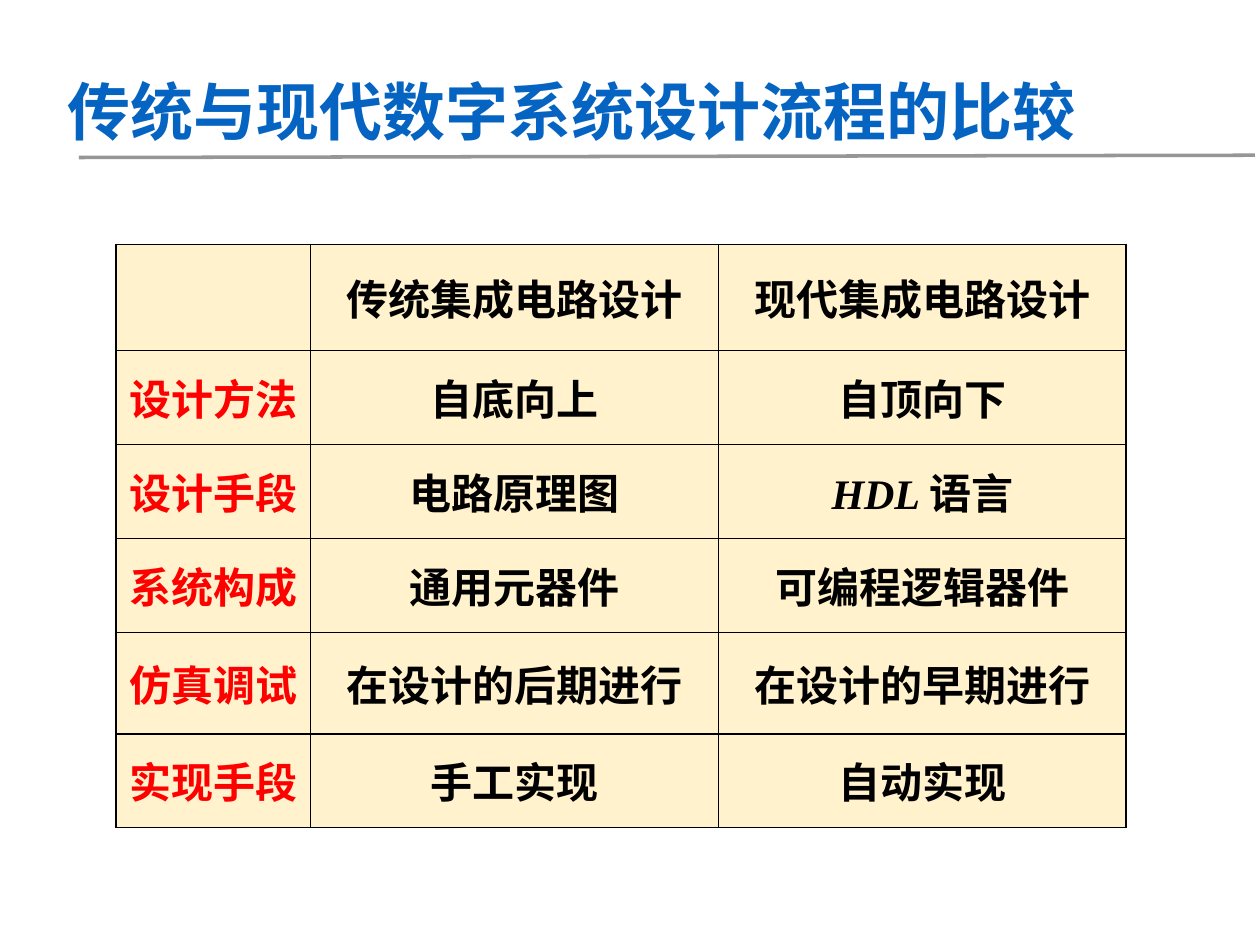
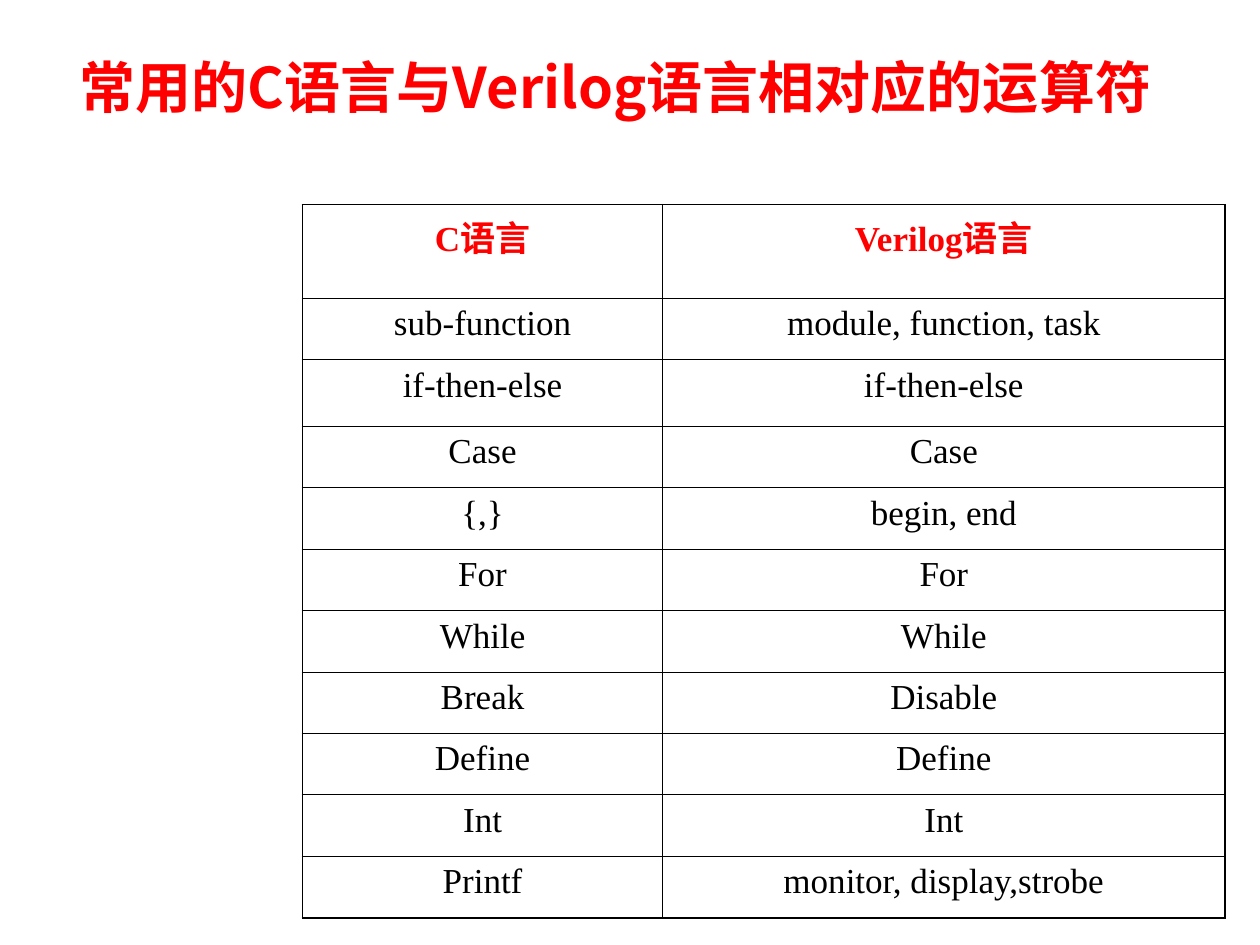
from lxml import etree
from pptx import Presentation
from pptx import util as u
from pptx.dml.color import RGBColor
from pptx.enum import shapes, text
from pptx.oxml import ns

COLORS = {"title": "0563C1", "accent": "FF0000", "body": "000000",
          "rule": "969696", "cream": "FFF2CC", "white": "FFFFFF"}
FONTS = {"cjk": "Noto Sans CJK SC", "latin": "Times New Roman"}
COLS, ROWS = 100, 75
THIN = 0.45

COMPARISON = [
    ["", "传统集成电路设计", "现代集成电路设计"],
    ["设计方法", "自底向上", "自顶向下"],
    ["设计手段", "电路原理图", [("HDL ", True), ("语言", False)]],
    ["系统构成", "通用元器件", "可编程逻辑器件"],
    ["仿真调试", "在设计的后期进行", "在设计的早期进行"],
    ["实现手段", "手工实现", "自动实现"],
]
OPERATORS = [
    ["C语言", "Verilog语言"],
    ["sub-function", "module, function, task"],
    ["if-then-else", "if-then-else"],
    ["Case", "Case"],
    ["{,}", "begin, end"],
    ["For", "For"],
    ["While", "While"],
    ["Break", "Disable"],
    ["Define", "Define"],
    ["Int", "Int"],
    ["Printf", "monitor, display,strobe"],
]


def rgb(name):
    return RGBColor.from_string(COLORS[name])


def set_all(obj, values):
    for key, value in values.items():
        setattr(obj, key, value)


class Deck:
    def __init__(self):
        self.prs = Presentation()
        set_all(self.prs, {"slide_width": u.Inches(10), "slide_height": u.Inches(7.5)})
        self.s = None

    def x(self, cols):
        return round(self.prs.slide_width * cols / COLS)

    def y(self, rows):
        return round(self.prs.slide_height * rows / ROWS)

    def new_slide(self):
        self.s = self.prs.slides.add_slide(self.prs.slide_layouts[5])

    def run(self, p, words, color, font, **style):
        r = p.add_run()
        r.text = words
        set_all(r.font, {"name": FONTS[font], **style})
        r.font.color.rgb = rgb(color)
        etree.SubElement(r.font._element, ns.qn("a:ea"), typeface=FONTS["cjk"])

    def outline(self, sp, color, width):
        sp.line.width = u.Pt(width)
        sp.line.color.rgb = rgb(color)

    def title(self, words, box, size, color, anchor, spacing=1.0):
        sp = self.s.shapes.title
        left, top, width, height = box
        set_all(sp, {"left": self.x(left), "top": self.y(top),
                     "width": self.x(width), "height": self.y(height)})
        tf = sp.text_frame
        set_all(tf, {"word_wrap": True, "auto_size": text.MSO_AUTO_SIZE.NONE,
                     "vertical_anchor": anchor})
        p = tf.paragraphs[0]
        set_all(p, {"alignment": text.PP_ALIGN.LEFT, "line_spacing": spacing})
        self.run(p, words, color, "cjk", size=u.Pt(size), bold=True)
        return sp

    def rule(self, start, end):
        sp = self.s.shapes.add_connector(
            shapes.MSO_CONNECTOR.STRAIGHT, self.x(start[0]), self.y(start[1]),
            self.x(end[0]), self.y(end[1]))
        self.outline(sp, "rule", 2)
        etree.SubElement(sp._element.spPr, ns.qn("a:effectLst"))

    def borders(self, cell, widths):
        tcPr = cell._tc.get_or_add_tcPr()
        for side, width in widths.items():
            ln = etree.SubElement(tcPr, ns.qn(f"a:ln{side}"), w=str(u.Pt(width)))
            fill = etree.SubElement(ln, ns.qn("a:solidFill"))
            etree.SubElement(fill, ns.qn("a:srgbClr"), val=COLORS["body"])

    def table(self, rows, at, widths, heights, size, fill, anchor, outer, style, heavy=()):
        frame = self.s.shapes.add_table(
            len(rows), len(widths), self.x(at[0]), self.y(at[1]),
            self.x(sum(widths)), self.y(sum(heights)))
        table = frame.table
        set_all(table, {"first_row": False, "horz_banding": False})
        for column, width in zip(table.columns, widths):
            column.width = self.x(width)
        for row, height in zip(table.rows, heights):
            row.height = self.y(height)
        thick_rows = {0, len(rows), *heavy}
        thick_cols = {0, len(widths)}
        for i, row in enumerate(rows):
            for j, content in enumerate(row):
                cell = table.cell(i, j)
                self.borders(cell, {
                    "L": outer if j in thick_cols else THIN,
                    "R": outer if j + 1 in thick_cols else THIN,
                    "T": outer if i in thick_rows else THIN,
                    "B": outer if i + 1 in thick_rows else THIN})
                cell.fill.solid()
                cell.fill.fore_color.rgb = rgb(fill)
                cell.vertical_anchor = anchor
                p = cell.text_frame.paragraphs[0]
                p.alignment = text.PP_ALIGN.CENTER
                color, bold = style(i, j)
                parts = [(content, False)] if isinstance(content, str) else content
                for words, italic in parts:
                    if words:
                        self.run(p, words, color, "latin", size=u.Pt(size),
                                 bold=bold, italic=italic)


def main():
    deck = Deck()
    top, middle = text.MSO_ANCHOR.TOP, text.MSO_ANCHOR.MIDDLE

    deck.new_slide()
    deck.title("传统与现代数字系统设计流程的比较", (4.35, 6.1, 83.5, 6.1), 36,
               "title", middle, 0.9)
    deck.table(COMPARISON, (9.23, 19.4), [15.4, 32.4, 32.35],
               [8.4, 7.46, 7.46, 7.44, 8.08, 7.46], 24, "cream", middle, 1.08,
               lambda i, j: ("body" if j else "accent", True), heavy=(5,))
    deck.rule((6.27, 12.5), (99.6, 12.32))

    deck.new_slide()
    sp = deck.title("常用的C语言与Verilog语言相对应的运算符", (5.33, 3.65, 92.7, 6.4), 32,
                    "accent", top)
    deck.outline(sp, "white", 3)
    deck.table(OPERATORS, (24, 16.24), [28.6, 44.62],
               [7.42, 4.88, 5.28] + [4.88] * 8, 20, "white", top, 0.96,
               lambda i, j: ("body", False) if i else ("accent", True))

    deck.prs.save("out.pptx")


if __name__ == "__main__":
    main()
